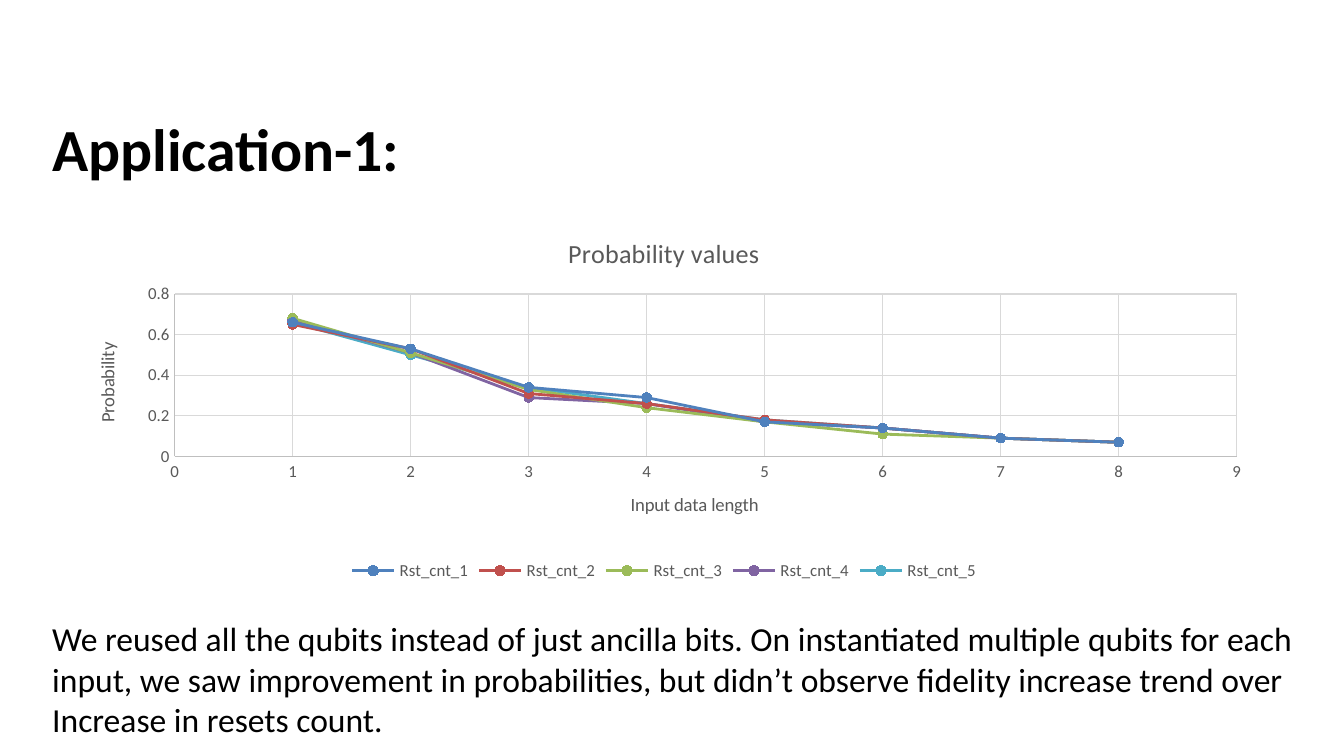
"""Build the Application-1 slide with its probability chart."""
import pptx
import pptx.chart.data
import pptx.dml.color
import pptx.enum.chart
import pptx.enum.text
import pptx.oxml
import pptx.oxml.ns
import pptx.util

FONT = "Calibri"
GRAY = "595959"
SERIES = [
    ("Rst_cnt_1", "4F81BD", [0.66, 0.53, 0.34, 0.29, 0.17, 0.14, 0.09, 0.07]),
    ("Rst_cnt_2", "C0504D", [0.65, 0.53, 0.31, 0.26, 0.18, 0.14, 0.09, 0.07]),
    ("Rst_cnt_3", "9BBB59", [0.68, 0.51, 0.33, 0.24, 0.17, 0.11, 0.09, 0.07]),
    ("Rst_cnt_4", "8064A2", [0.67, 0.51, 0.29, 0.26, 0.17, 0.14, 0.09, 0.07]),
    ("Rst_cnt_5", "4BACC6", [0.66, 0.5, 0.34, 0.26, 0.18, 0.14, 0.09, 0.07]),
]
CLOSING = [
    "We reused all the qubits instead of just ancilla bits. On instantiated "
    "multiple qubits for each input, we saw improvement in probabilities, but "
    "didn\u2019t observe fidelity increase trend over ",
    "Increase in resets count.",
]


def color(value):
    return pptx.dml.color.RGBColor.from_string(value)


def style_font(font, size, value, bold=False):
    font.name = FONT
    font.size = pptx.util.Pt(size)
    font.bold = bold
    font.color.rgb = color(value)


def style_line(line, value, width):
    line.color.rgb = color(value)
    line.width = pptx.util.Pt(width)


def add_text(page, place, lines, size, bold=False):
    box = page.shapes.add_textbox(*map(pptx.util.Inches, place))
    frame = box.text_frame
    frame.word_wrap = True
    frame.auto_size = pptx.enum.text.MSO_AUTO_SIZE.SHAPE_TO_FIT_TEXT
    for index, line in enumerate(lines):
        para = frame.add_paragraph() if index else frame.paragraphs[0]
        span = para.add_run()
        span.text = line
        style_font(span.font, size, "000000", bold)


def set_title(owner, text, size):
    owner.has_title = True
    title = owner.chart_title if hasattr(owner, "chart_title") else owner.axis_title
    span = title.text_frame.paragraphs[0].add_run()
    span.text = text
    style_font(span.font, size, GRAY)


def style_axis(axis, text, maximum, unit):
    set_title(axis, text, 10)
    axis.minimum_scale = 0
    axis.maximum_scale = maximum
    axis.major_unit = unit
    axis.major_tick_mark = pptx.enum.chart.XL_TICK_MARK.NONE
    axis.minor_tick_mark = pptx.enum.chart.XL_TICK_MARK.NONE
    axis.has_major_gridlines = True
    style_line(axis.major_gridlines.format.line, "D9D9D9", 0.75)
    style_line(axis.format.line, "BFBFBF", 0.75)
    style_font(axis.tick_labels.font, 9, GRAY)
    axis.tick_labels.number_format = "General"
    axis.tick_labels.number_format_is_linked = False


def place_plot(chart, **fractions):
    plot_area = chart.element.chart.plotArea
    for old in plot_area.findall(pptx.oxml.ns.qn("c:layout")):
        plot_area.remove(old)
    sizes = "".join(f'<c:{key} val="{value}"/>' for key, value in fractions.items())
    plot_area.insert(0, pptx.oxml.parse_xml(
        f'<c:layout {pptx.oxml.ns.nsdecls("c")}><c:manualLayout>'
        '<c:layoutTarget val="inner"/><c:xMode val="edge"/><c:yMode val="edge"/>'
        f'{sizes}</c:manualLayout></c:layout>'))


def add_probability_chart(page, place):
    data = pptx.chart.data.XyChartData()
    for name, _, values in SERIES:
        series = data.add_series(name)
        for length, value in enumerate(values, 1):
            series.add_data_point(length, value)
    chart = page.shapes.add_chart(
        pptx.enum.chart.XL_CHART_TYPE.XY_SCATTER_LINES,
        *map(pptx.util.Inches, place), data).chart
    style_font(chart.font, 10, "000000")
    set_title(chart, "Probability values", 14)
    chart.chart_title.include_in_layout = False
    style_axis(chart.category_axis, "Input data length", 9, 1)
    style_axis(chart.value_axis, "Probability", 0.8, 0.2)
    place_plot(chart, x=0.09, y=0.21, w=0.89, h=0.44)
    chart.has_legend = True
    chart.legend.position = pptx.enum.chart.XL_LEGEND_POSITION.BOTTOM
    chart.legend.include_in_layout = False
    style_font(chart.legend.font, 9, GRAY)
    chart.plots[0].vary_by_categories = False
    for series, (_, value, _) in zip(chart.plots[0].series, SERIES):
        series.smooth = False
        style_line(series.format.line, value, 1.5)
        marker = series.marker
        marker.style = pptx.enum.chart.XL_MARKER_STYLE.CIRCLE
        marker.size = 5
        marker.format.fill.solid()
        marker.format.fill.fore_color.rgb = color(value)
        style_line(marker.format.line, value, 0.75)


def main():
    deck = pptx.Presentation()
    deck.slide_width = pptx.util.Inches(10)
    deck.slide_height = deck.slide_width * 9 // 16
    page = deck.slides.add_slide(deck.slide_layouts[6])
    add_text(page, (0.29, 0.78, 5, 0.64), ["Application-1: "], 32, True)
    add_probability_chart(page, (0.5, 1.61, 8.88, 2.75))
    add_text(page, (0.29, 4.55, 9.89, 1.01), CLOSING, 18)
    deck.save("out.pptx")


main()
